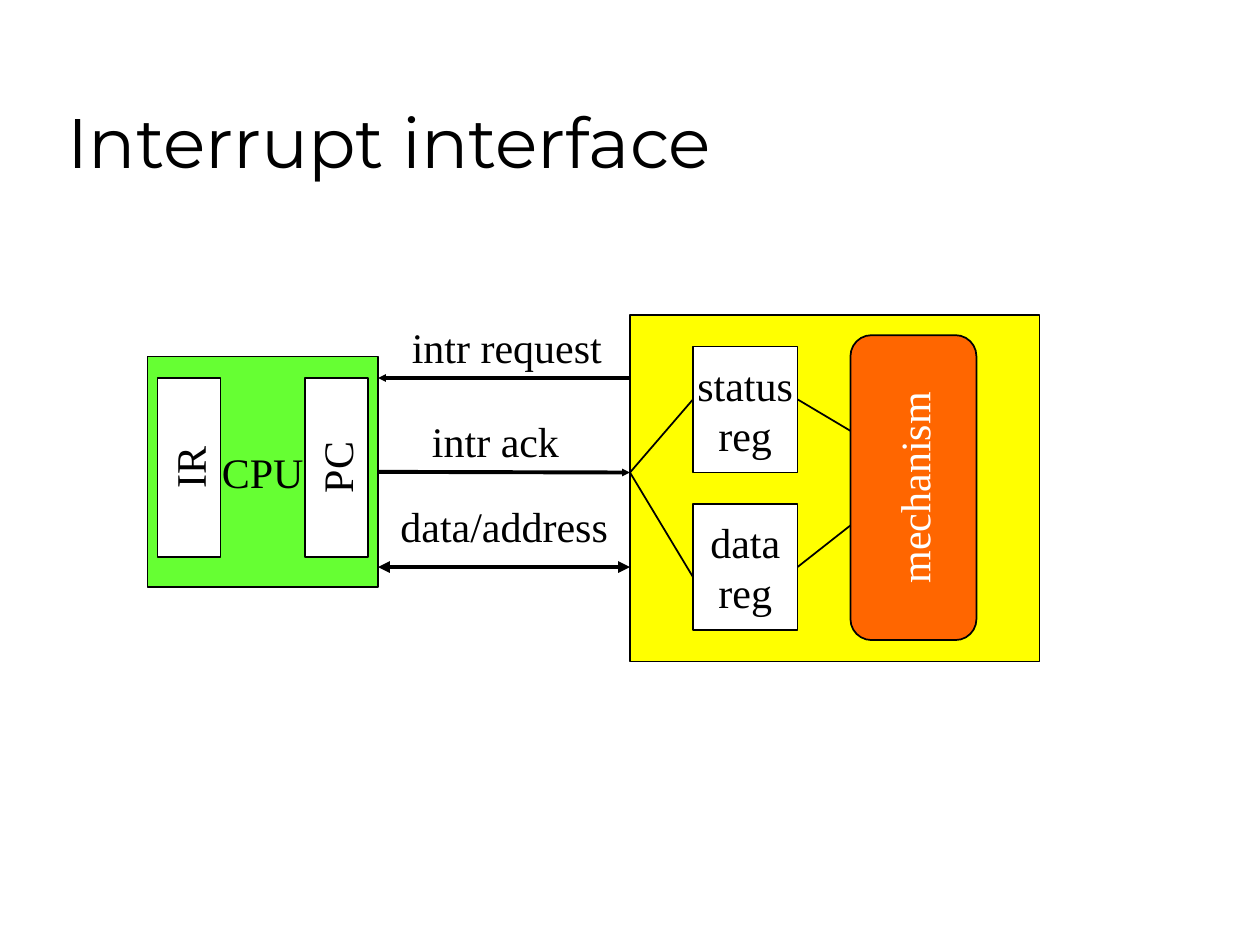
from lxml import etree
from pptx import Presentation
from pptx.dml.color import RGBColor
from pptx.enum import shapes, text
from pptx.oxml import ns
from pptx.util import Inches, Pt

BLACK = RGBColor(0x00, 0x00, 0x00)
WHITE = RGBColor(0xFF, 0xFF, 0xFF)
GREEN = RGBColor(0x66, 0xFF, 0x33)
YELLOW = RGBColor(0xFF, 0xFF, 0x00)
ORANGE = RGBColor(0xFF, 0x66, 0x00)
TITLE_FONT = "Montserrat"
BODY_FONT = "Times New Roman"
RECTANGLE = shapes.MSO_SHAPE.RECTANGLE
ROUNDED = shapes.MSO_SHAPE.ROUNDED_RECTANGLE
RIGHT_SIDE = 3


def write(text_frame, words, size=24, font=BODY_FONT, color=BLACK, alignment=None):
    text_frame.text = words
    for paragraph in text_frame.paragraphs:
        paragraph.alignment = alignment
        for run in paragraph.runs:
            run.font.size = Pt(size)
            run.font.name = font
            run.font.color.rgb = color


def add_title(slide, words):
    box = slide.shapes.add_textbox(Inches(0.44), Inches(0.25), Inches(8.5), Inches(1.25))
    box.text_frame.word_wrap = True
    box.text_frame.vertical_anchor = text.MSO_ANCHOR.BOTTOM
    write(box.text_frame, words, 40, TITLE_FONT)


def add_block(slide, left, top, width, height, fill, words="", color=BLACK,
              kind=RECTANGLE, rotation=0):
    block = slide.shapes.add_shape(kind, Inches(left), Inches(top), Inches(width), Inches(height))
    block.rotation = rotation
    block.shadow.inherit = False
    block.fill.solid()
    block.fill.fore_color.rgb = fill
    block.line.color.rgb = BLACK
    block.line.width = Pt(1)
    if words:
        block.text_frame.word_wrap = False
        block.text_frame.vertical_anchor = text.MSO_ANCHOR.MIDDLE
        write(block.text_frame, words, color=color, alignment=text.PP_ALIGN.CENTER)
    return block


def add_label(slide, left, top, width, words):
    box = slide.shapes.add_textbox(Inches(left), Inches(top), Inches(width), Inches(0.5))
    box.text_frame.word_wrap = False
    box.text_frame.auto_size = text.MSO_AUTO_SIZE.SHAPE_TO_FIT_TEXT
    write(box.text_frame, words)


def add_line(slide, start, end, width=1, arrowheads=(), arrow_size="med"):
    points = [Inches(value) for value in (*start, *end)]
    connector = slide.shapes.add_connector(shapes.MSO_CONNECTOR.STRAIGHT, *points)
    connector.line.color.rgb = BLACK
    connector.line.width = Pt(width)
    outline = connector.line._get_or_add_ln()
    for arrowhead in arrowheads:
        etree.SubElement(outline, ns.qn(f"a:{arrowhead}"), type="triangle",
                         w=arrow_size, len=arrow_size)
    etree.SubElement(connector._element.spPr, ns.qn("a:effectLst"))
    return connector


def add_cpu(slide):
    cpu = add_block(slide, 1.17, 2.83, 1.83, 1.83, GREEN, "CPU")
    for left, name in ((1.96, "PC"), (0.79, "IR")):
        add_block(slide, left, 3.46, 1.42, 0.5, WHITE, name, rotation=270)
    return cpu


def add_device(slide):
    bus_port = (5, 3.75)
    add_block(slide, 5, 2.5, 3.25, 2.75, YELLOW)
    add_block(slide, 5.5, 2.75, 0.83, 1, WHITE, "status\nreg")
    data_register = add_block(slide, 5.5, 4, 0.83, 1, WHITE, "data\nreg")
    add_block(slide, 6.04, 3.37, 2.42, 1, ORANGE, "mechanism", WHITE, ROUNDED, 270)
    add_line(slide, (6.33, 3.17), (6.75, 3.42))
    data_link = add_line(slide, (6.33, 4.5), (6.75, 4.17))
    data_link.begin_connect(data_register, RIGHT_SIDE)
    for register_y in (3.17, 4.58):
        add_line(slide, (5.5, register_y), bus_port)


def add_signals(slide, cpu):
    add_label(slide, 3.17, 2.5, 1.71, "intr request")
    add_label(slide, 3.33, 3.25, 1.21, "intr ack")
    add_label(slide, 3.08, 3.92, 1.85, "data/address")
    add_line(slide, (5, 3), (3, 3), 2.25, ["tailEnd"], "sm")
    acknowledge = add_line(slide, (3, 3.75), (5, 3.75), 2.25, ["tailEnd"], "sm")
    acknowledge.begin_connect(cpu, RIGHT_SIDE)
    add_line(slide, (3, 4.5), (5, 4.5), 2.25, ["headEnd", "tailEnd"])


def main():
    presentation = Presentation()
    presentation.slide_width = Inches(10)
    presentation.slide_height = Inches(7.5)
    slide = presentation.slides.add_slide(presentation.slide_layouts[6])
    add_title(slide, "Interrupt interface")
    cpu = add_cpu(slide)
    add_device(slide)
    add_signals(slide, cpu)
    presentation.save("out.pptx")


if __name__ == "__main__":
    main()
